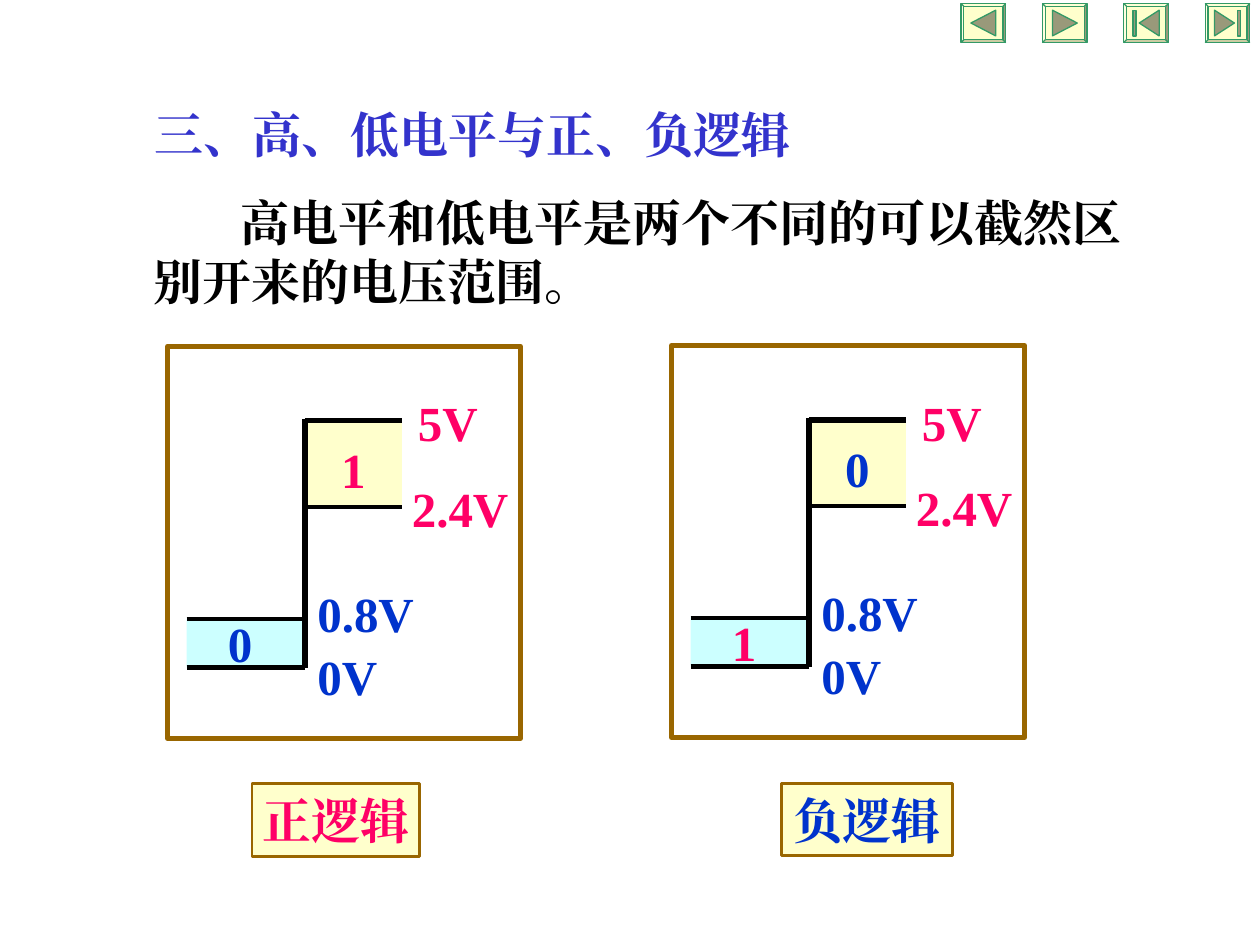
from lxml import etree
from pptx import Presentation
from pptx.dml.color import RGBColor
from pptx.enum.shapes import MSO_CONNECTOR, MSO_SHAPE
from pptx.enum.text import MSO_ANCHOR, PP_ALIGN
from pptx.oxml.ns import qn
from pptx.util import Pt

RECT, BEVEL = MSO_SHAPE.RECTANGLE, MSO_SHAPE.BEVEL
STRAIGHT = MSO_CONNECTOR.STRAIGHT
CENTER, LEFT = PP_ALIGN.CENTER, PP_ALIGN.LEFT
TOP, MIDDLE = MSO_ANCHOR.TOP, MSO_ANCHOR.MIDDLE

BLACK = RGBColor(0x00, 0x00, 0x00)
INDIGO = RGBColor(0x33, 0x33, 0xCC)
BLUE = RGBColor(0x00, 0x33, 0xCC)
PINK = RGBColor(0xFF, 0x00, 0x66)
CREAM = RGBColor(0xFF, 0xFF, 0xCC)
CYAN = RGBColor(0xCC, 0xFF, 0xFF)
BROWN = RGBColor(0x99, 0x66, 0x00)
GREEN = RGBColor(0x33, 0x99, 0x66)
OLIVE = RGBColor(0x99, 0x99, 0x7A)


class Board:
    font = "Times New Roman"
    size = 28

    def __init__(self, slide):
        self.shapes = slide.shapes

    def paint(self, shape, fill=None, edge=None, width=0.75):
        shape.shadow.inherit = False
        if fill is None:
            shape.fill.background()
        else:
            shape.fill.solid()
            shape.fill.fore_color.rgb = fill
        if edge is None:
            shape.line.fill.background()
        else:
            shape.line.color.rgb = edge
            shape.line.width = Pt(width)
        return shape

    def box(self, x, y, w, h, fill=None, edge=None, width=0.75, kind=RECT):
        shape = self.shapes.add_shape(kind, Pt(x), Pt(y), Pt(w), Pt(h))
        return self.paint(shape, fill, edge, width)

    def poly(self, points, fill, edge):
        first, *rest = [(Pt(x), Pt(y)) for x, y in points]
        outline = self.shapes.build_freeform(*first)
        outline.add_line_segments(rest, close=True)
        return self.paint(outline.convert_to_shape(), fill, edge)

    def line(self, x1, y1, x2, y2, width):
        line = self.shapes.add_connector(STRAIGHT, Pt(x1), Pt(y1), Pt(x2), Pt(y2))
        line.line.color.rgb = BLACK
        line.line.width = Pt(width)
        etree.SubElement(line._element.spPr, qn("a:effectLst"))

    def label(self, shape, words, color, align=LEFT, anchor=TOP, wrap=True, indent=0):
        frame = shape.text_frame
        frame.word_wrap = wrap
        frame.vertical_anchor = anchor
        para = frame.paragraphs[0]
        para.alignment = align
        if indent:
            para._p.get_or_add_pPr().set("indent", str(Pt(indent)))
        run = para.add_run()
        run.text = words
        run.font.name = self.font
        run.font.size = Pt(self.size)
        run.font.bold = True
        run.font.color.rgb = color
        east = etree.SubElement(run._r.get_or_add_rPr(), qn("a:ea"))
        east.set("typeface", self.font)

    def text(self, x, y, w, h, words, color, indent=0):
        shape = self.shapes.add_textbox(Pt(x), Pt(y), Pt(w), Pt(h))
        self.label(shape, words, color, indent=indent)

    def chip(self, x, y, w, h, words, color):
        shape = self.box(x, y, w, h, CREAM, BROWN, 1.5)
        self.label(shape, words, color, CENTER, MIDDLE, wrap=False)

    def panel(self, x, y, high, low):
        """Draw one framed level diagram; high and low are (digit, color)."""
        left, step, right = x + 10.8, x + 78.5, x + 133.8
        five, two, eight, zero = y + 42.5, y + 91.5, y + 155.5, y + 183.5
        self.box(left, eight, step - left, zero - eight, CYAN)
        self.box(step, five, right - step, two - five, CREAM)
        for x1, x2, level, width in ((step, right, five, 3), (step, right, two, 2.25),
                                     (left, step, eight, 2.25), (left, step, zero, 3)):
            self.line(x1, level, x2, level, width)
        self.line(step, five - 1, step, zero, 3)
        for dx, dy, words, color in ((136, 23, "5V", PINK), (132.5, 72, "2.4V", PINK),
                                     (78.5, 132, "0.8V", BLUE), (78.5, 168, "0V", BLUE)):
            self.text(x + dx, y + dy, 78, 41, words, color)
        self.box(x, y, 201.6, 224, edge=BROWN, width=3)
        self.text(x + 92, y + 49.7, 34, 41, *high)
        self.text(x + 27.4, y + 149, 34, 41, *low)

    def button(self, x, y, flip, bar):
        """Draw a navigation button; flip makes it point right."""
        w, h = 25.5, 22.3
        self.box(x, y, w, h, CREAM, GREEN, kind=BEVEL).adjustments[0] = 0.07
        tip, base = (8.8, 20.2) if bar else (5.6, 19.8)
        marks = [[(tip, h / 2), (base, 3.8), (base, h - 3.8)]]
        if bar:
            marks.append([(5.3, 3.8), (7, 3.8), (7, h - 3.8), (5.3, h - 3.8)])
        for mark in marks:
            self.poly([(x + (w - px if flip else px), y + py) for px, py in mark],
                      OLIVE, GREEN)


def main():
    deck = Presentation()
    deck.slide_width, deck.slide_height = Pt(720), Pt(540)
    board = Board(deck.slides.add_slide(deck.slide_layouts[6]))

    board.text(81.4, 56.2, 585, 41, "三、高、低电平与正、负逻辑", INDIGO)
    board.text(80.6, 106.6, 574.6, 75,
               "高电平和低电平是两个不同的可以截然区别开来的电压范围。", BLACK, indent=50)

    one, nil = ("1", PINK), ("0", BLUE)
    board.panel(95.8, 198, one, nil)
    board.panel(383.8, 197.5, nil, one)
    board.chip(144, 447.8, 95.8, 41.8, "正逻辑", PINK)
    board.chip(446.4, 447.8, 98, 41, "负逻辑", BLUE)

    kinds = ((False, False), (True, False), (False, True), (True, True))
    for i, (flip, bar) in enumerate(kinds):
        board.button(549.2 + 46.5 * i, 2, flip, bar)

    deck.save("out.pptx")


if __name__ == "__main__":
    main()
